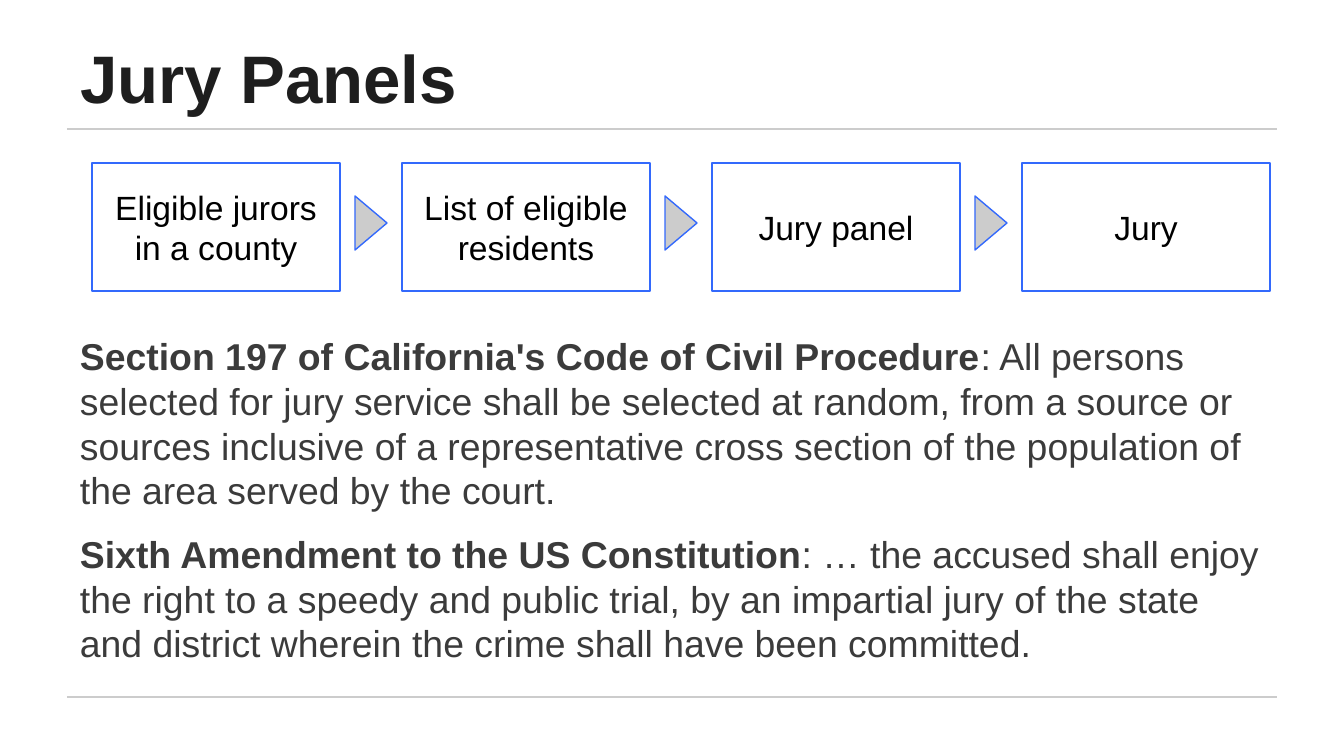
from lxml import etree
from pptx import Presentation
from pptx.dml.color import RGBColor
from pptx.enum.shapes import MSO_CONNECTOR, MSO_SHAPE
from pptx.enum.text import MSO_ANCHOR, MSO_AUTO_SIZE, PP_ALIGN
from pptx.oxml.ns import qn
from pptx.util import Pt

STRAIGHT = MSO_CONNECTOR.STRAIGHT
RECTANGLE, ARROW = MSO_SHAPE.RECTANGLE, MSO_SHAPE.RIGHT_ARROW
TOP, MIDDLE, BOTTOM = MSO_ANCHOR.TOP, MSO_ANCHOR.MIDDLE, MSO_ANCHOR.BOTTOM
LEFT, CENTER = PP_ALIGN.LEFT, PP_ALIGN.CENTER
NO_AUTOFIT = MSO_AUTO_SIZE.NONE

# Content
TITLE = "Jury Panels"
STEPS = ["Eligible jurors in a county", "List of eligible residents", "Jury panel", "Jury"]
SOURCES = [
    ("Section 197 of California's Code of Civil Procedure",
     ": All persons selected for jury service shall be selected at random, from a source or "
     "sources inclusive of a representative cross section of the population of the area "
     "served by the court."),
    ("Sixth Amendment to the US Constitution",
     ": … the accused shall enjoy the right to a speedy and public trial, by an impartial "
     "jury of the state and district wherein the crime shall have been committed."),
]

# Layout in px, 134.4 px to the inch
EMU_PER_PX = 914400 / 134.4
SLIDE_SIZE = (1344, 756)
TITLE_BOX = (67, 31, 985, 99)
BODY_BOX = (67, 320, 1210, 411)
RULE_LEFT, RULE_RIGHT, RULE_TOPS = 67, 1277, (129, 697)
STEP_LEFT, STEP_TOP, STEP_WIDTH, STEP_HEIGHT, STEP_PITCH = 92, 163, 248, 128, 310
ARROW_OFFSET, ARROW_TOP, ARROW_WIDTH, ARROW_HEIGHT = 263, 196, 32, 54
INSET = 13

# Formats
BLUE, GRAY = "3369FC", "CCCCCC"
TITLE_FONT = {"name": "Arial", "size": Pt(36), "bold": True}
BODY_FONT = {"name": "Arial", "size": Pt(20)}
STEP_FONT = {"name": "Arial", "size": Pt(18)}


def px(*lengths):
    return [round(length * EMU_PER_PX) for length in lengths]


def color(value):
    return RGBColor.from_string(value)


def set_line(line, value, width):
    line.color.rgb = color(value)
    line.width = Pt(width)


def set_frame(frame, anchor):
    inset, = px(INSET)
    values = {"word_wrap": True, "auto_size": NO_AUTOFIT, "vertical_anchor": anchor,
              "margin_left": inset, "margin_right": inset,
              "margin_top": inset, "margin_bottom": inset}
    for name, value in values.items():
        setattr(frame, name, value)


def add_run(paragraph, text, font, font_color, **extra):
    run = paragraph.add_run()
    run.text = text
    for name, value in {**font, **extra}.items():
        setattr(run.font, name, value)
    run.font.color.rgb = color(font_color)


def add_rule(slide, top):
    rule = slide.shapes.add_connector(STRAIGHT, *px(RULE_LEFT, top, RULE_RIGHT, top))
    set_line(rule.line, GRAY, 0.75)
    etree.SubElement(rule._element.spPr, qn("a:effectLst"))


def add_step(slide, text, left):
    box = slide.shapes.add_shape(RECTANGLE, *px(left, STEP_TOP, STEP_WIDTH, STEP_HEIGHT))
    box.shadow.inherit = False
    box.fill.background()
    set_line(box.line, BLUE, 1.5)
    set_frame(box.text_frame, MIDDLE)
    paragraph = box.text_frame.paragraphs[0]
    paragraph.alignment = CENTER
    add_run(paragraph, text, STEP_FONT, "000000")


def add_arrow(slide, left):
    arrow = slide.shapes.add_shape(ARROW, *px(left, ARROW_TOP, ARROW_WIDTH, ARROW_HEIGHT))
    arrow.adjustments[1] = 1.16  # the head fills the whole arrow
    arrow.shadow.inherit = False
    arrow.fill.solid()
    arrow.fill.fore_color.rgb = color(GRAY)
    set_line(arrow.line, BLUE, 0.75)


presentation = Presentation()
presentation.slide_width, presentation.slide_height = px(*SLIDE_SIZE)
slide = presentation.slides.add_slide(presentation.slide_layouts[5])

# Rules
for top in RULE_TOPS:
    add_rule(slide, top)

# Title
title = slide.shapes.title
title.left, title.top, title.width, title.height = px(*TITLE_BOX)
set_frame(title.text_frame, BOTTOM)
paragraph = title.text_frame.paragraphs[0]
paragraph.alignment = LEFT
add_run(paragraph, TITLE, TITLE_FONT, "1E1E1E")

# Legal sources
body = slide.shapes.add_textbox(*px(*BODY_BOX))
set_frame(body.text_frame, TOP)
for index, (heading, text) in enumerate(SOURCES):
    paragraph = body.text_frame.add_paragraph() if index else body.text_frame.paragraphs[0]
    paragraph.space_before = Pt(10 if index else 0)
    add_run(paragraph, heading, BODY_FONT, "3B3B3B", bold=True)
    add_run(paragraph, text, BODY_FONT, "3B3B3B", bold=False)

# Selection steps with an arrow after each but the last
for index, step in enumerate(STEPS):
    left = STEP_LEFT + index * STEP_PITCH
    add_step(slide, step, left)
    if index < len(STEPS) - 1:
        add_arrow(slide, left + ARROW_OFFSET)

presentation.save("out.pptx")
